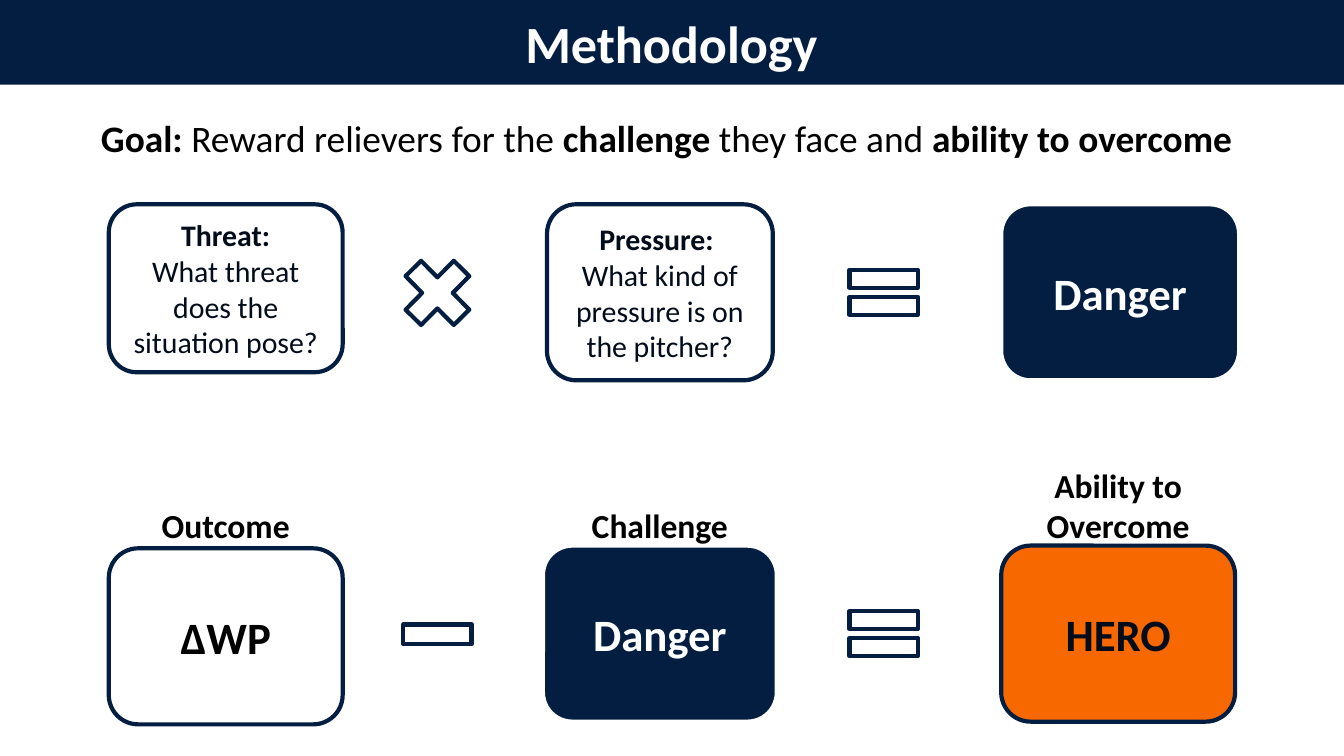
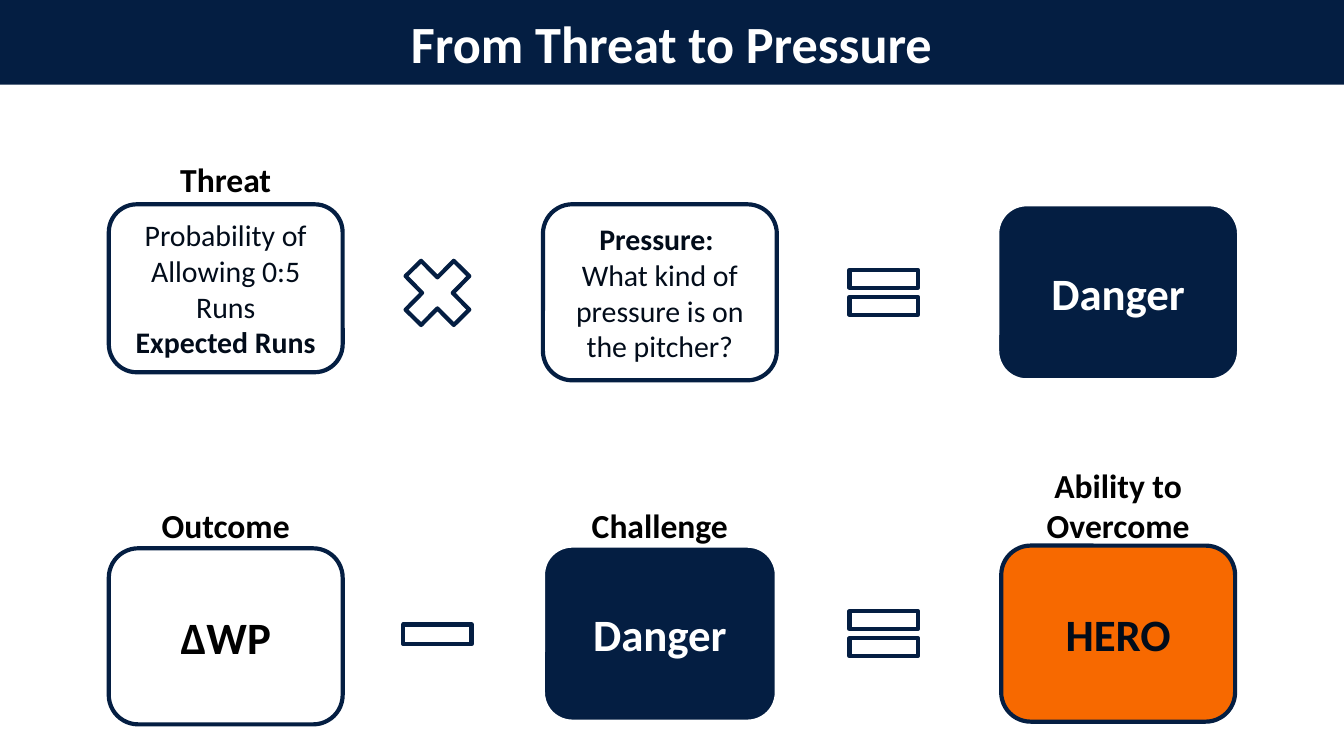
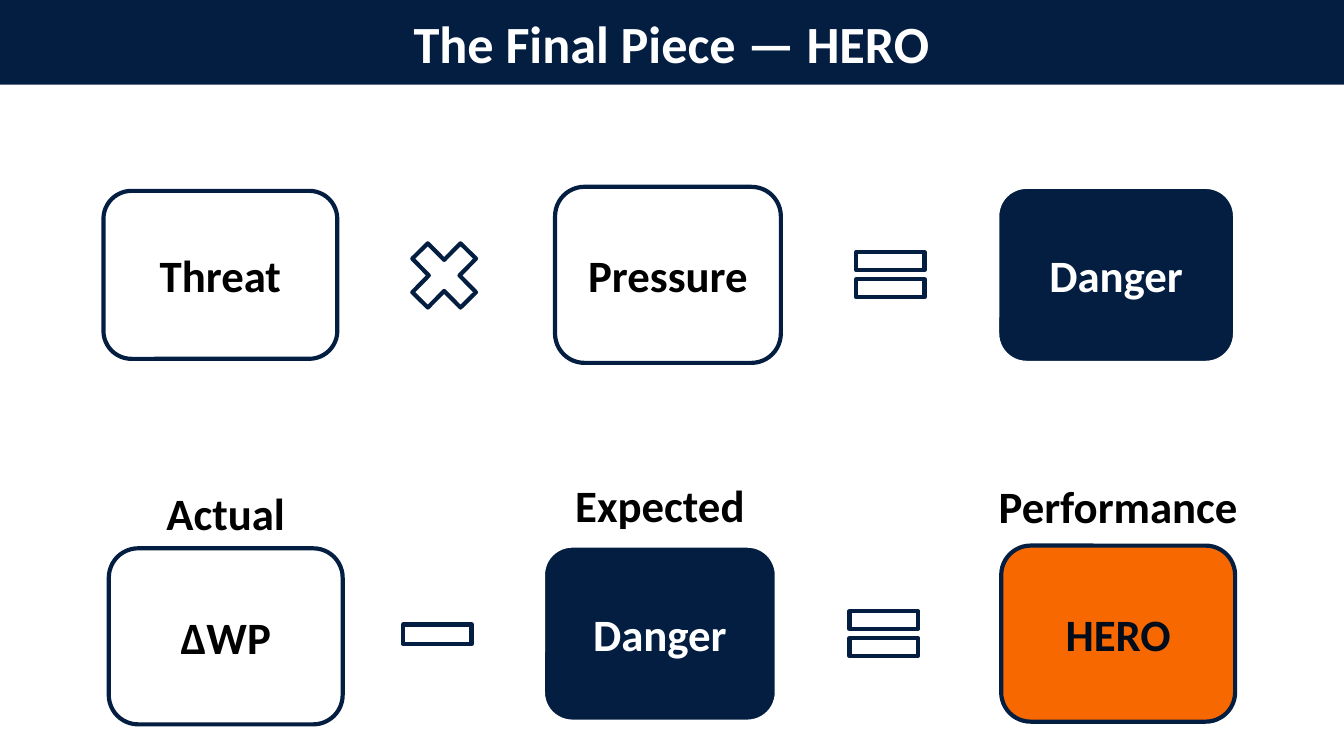
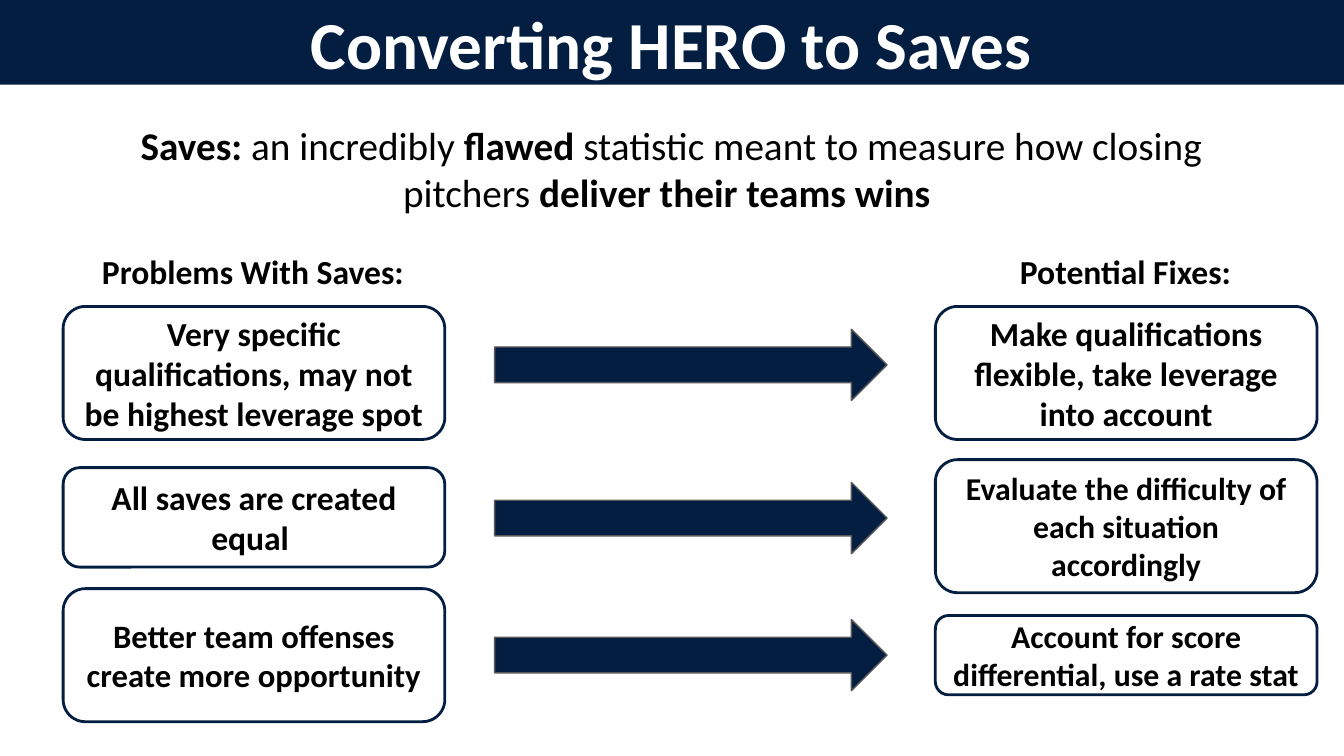
from dataclasses import dataclass

from pptx import Presentation, util as u
from pptx.dml.color import RGBColor
from pptx.enum import shapes, text

SHAPE = shapes.MSO_SHAPE
PAGE_WIDTH = 10
PAGE_HEIGHT = PAGE_WIDTH * 9 / 16


@dataclass(frozen=True)
class Theme:
    font: str = "Calibri"
    navy: str = "041E42"
    ink: str = "020C1A"
    black: str = "000000"
    white: str = "FFFFFF"
    orange: str = "F76900"
    grey: str = "595959"
    title: float = 28
    big_title: float = 36
    term: float = 24
    saves: float = 21
    goal: float = 20
    caption: float = 18
    detail: float = 16
    thick: float = 2.25
    medium: float = 1.5
    thin: float = 0.75


THEME = Theme()

# Card looks: fill, line, text colour, text size
STYLES = {
    "detail": (THEME.white, THEME.navy, THEME.ink, THEME.detail),
    "term": (THEME.white, THEME.navy, THEME.black, THEME.term),
    "danger": (THEME.navy, THEME.white, THEME.white, THEME.term),
    "hero": (THEME.orange, THEME.navy, THEME.ink, THEME.term),
}

# Content: asterisks enclose bold words, a line break starts a paragraph.
# Places are left, top, width, height in inches.
PRESSURE = "*Pressure: *\nWhat kind of pressure is on the pitcher?"
TOP_OPERATORS = [(SHAPE.MATH_MULTIPLY, (2.91, 1.83, 0.69, 0.7)),
                 (SHAPE.MATH_EQUAL, (6.23, 1.89, 0.69, 0.57))]
LOWER_OPERATORS = [(SHAPE.MATH_MINUS, (2.91, 4.41, 0.69, 0.62)),
                   (SHAPE.MATH_EQUAL, (6.23, 4.43, 0.69, 0.57))]
LOWER_CARDS = [("term", (0.81, 4.08, 1.74, 1.31), "*ΔWP*"),
               ("danger", (4.04, 4.06, 1.74, 1.31), "*Danger*"),
               ("hero", (7.45, 4.06, 1.74, 1.31), "*HERO*")]
LOWER_CAPTIONS = [((0.81, 3.72, 1.74, 0.37), "*Outcome*"),
                  ((4.04, 3.72, 1.74, 0.37), "*Challenge*"),
                  ((7.45, 3.45, 1.74, 0.62), "*Ability to Overcome*")]

EQUATION_PAGES = [
    {
        "title": "Methodology",
        "goal": "*Goal:* Reward relievers for the *challenge *they face and *ability to overcome*",
        "cards": [
            ("detail", (0.81, 1.52, 1.74, 1.25),
             "*Threat:*\nWhat threat does the situation pose?"),
            ("detail", (4.07, 1.52, 1.68, 1.31), PRESSURE),
            ("danger", (7.45, 1.52, 1.77, 1.31), "*Danger*"),
        ],
        "captions": LOWER_CAPTIONS,
    },
    {
        "title": "From Threat to Pressure",
        "cards": [
            ("detail", (0.81, 1.52, 1.74, 1.25),
             "Probability of Allowing 0:5 Runs\n*Expected Runs*"),
            ("detail", (4.04, 1.52, 1.74, 1.31), PRESSURE),
            ("danger", (7.42, 1.52, 1.8, 1.31), "*Danger*"),
        ],
        "captions": LOWER_CAPTIONS + [((0.81, 1.15, 1.74, 0.37), "*Threat*")],
    },
    {
        "title": "The Final Piece — HERO",
        "cards": [
            ("term", (0.77, 1.42, 1.74, 1.25), "*Threat*"),
            ("term", (4.13, 1.39, 1.68, 1.31), "*Pressure*"),
            ("danger", (7.42, 1.39, 1.77, 1.31), "*Danger*"),
        ],
        "operator_shift": (0.05, -0.13),
        "captions": [((0.81, 3.63, 1.74, 0.37), "*Actual*"),
                     ((4.04, 3.53, 1.74, 0.45), "*Expected*"),
                     ((7.27, 3.45, 2.1, 0.62), "*Performance*")],
        "caption_size": THEME.term,
    },
]

SAVES_TITLE = "Converting HERO to Saves"
SAVES_INTRO = ("*Saves: *an incredibly *flawed *statistic meant to measure how closing "
               "pitchers *deliver their teams wins *")
SAVES_HEADINGS = [((0.66, 1.77, 2.45, 0.5), "*Problems With Saves:*"),
                  ((7.49, 1.77, 1.79, 0.5), "*Potential Fixes:*")]
# Each row: arrow top, then problem and fix as top, height, text size, words
SAVES_ROWS = [
    (2.45,
     (2.28, 0.99, 18, "*Very specific qualifications, may not be highest leverage spot *"),
     (2.28, 0.99, 18, "*Make qualifications flexible, take leverage into account*")),
    (3.59,
     (3.48, 0.74, 18, "*All saves are created equal *"),
     (3.42, 0.99, 17, "*Evaluate the difficulty of each situation accordingly*")),
    (4.61,
     (4.38, 0.99, 17.5, "*Better team offenses create more opportunity*"),
     (4.58, 0.59, 17, "*Account for score differential, use a rate stat*")),
]
COLUMN_LEFTS, COLUMN_WIDTH = (0.47, 6.96), 2.84
ARROW_LEFT, ARROW_WIDTH, ARROW_HEIGHT = 3.68, 2.92, 0.53


# Building blocks
def inches(place):
    return [u.Inches(value) for value in place]


def write(box, words, size, color, align=text.PP_ALIGN.CENTER,
          anchor=text.MSO_ANCHOR.MIDDLE):
    frame = box.text_frame
    frame.word_wrap = True
    frame.auto_size = text.MSO_AUTO_SIZE.NONE
    frame.vertical_anchor = anchor
    frame.margin_left = frame.margin_right = u.Inches(0.1)
    frame.margin_top = frame.margin_bottom = u.Inches(0.1)
    for number, line in enumerate(words.split("\n")):
        para = frame.add_paragraph() if number else frame.paragraphs[0]
        para.alignment = align
        for part, piece in enumerate(line.split("*")):
            if piece:
                span = para.add_run()
                span.text = piece
                span.font.name = THEME.font
                span.font.size = u.Pt(size)
                span.font.bold = part % 2 == 1
                span.font.color.rgb = RGBColor.from_string(color)


def add_shape(page, kind, place, fill=None, line=None, weight=THEME.thick):
    shape = page.shapes.add_shape(kind, *inches(place))
    shape.shadow.inherit = False
    if fill:
        shape.fill.solid()
        shape.fill.fore_color.rgb = RGBColor.from_string(fill)
    else:
        shape.fill.background()
    if line:
        shape.line.color.rgb = RGBColor.from_string(line)
        shape.line.width = u.Pt(weight)
    else:
        shape.line.fill.background()
    return shape


def add_text(page, place, words, size, **layout):
    write(page.shapes.add_textbox(*inches(place)), words, size, THEME.black, **layout)


def add_card(page, style, place, words):
    fill, line, color, size = STYLES[style]
    write(add_shape(page, SHAPE.ROUNDED_RECTANGLE, place, fill, line), words, size, color)


def add_operators(page, operators, shift=(0, 0)):
    for kind, (left, top, width, height) in operators:
        place = (left + shift[0], top + shift[1], width, height)
        add_shape(page, kind, place, THEME.white, THEME.navy)


def add_page(deck, title, size=THEME.title, place=(0.72, 0, 8.55, 0.63)):
    page = deck.slides.add_slide(deck.slide_layouts[5])
    add_shape(page, SHAPE.RECTANGLE, (0, 0, PAGE_WIDTH, 0.63), THEME.navy)
    box = page.shapes.title
    box.left, box.top, box.width, box.height = inches(place)
    write(box, f"*{title}*", size, THEME.white)
    box.element.getparent().append(box.element)  # bring the title above its band
    return page


# Pages
def add_equation_page(deck, content):
    page = add_page(deck, content["title"])
    if "goal" in content:
        add_text(page, (0.54, 0.76, 8.84, 0.53), content["goal"], THEME.goal)
    for card in content["cards"] + LOWER_CARDS:
        add_card(page, *card)
    add_operators(page, TOP_OPERATORS, content.get("operator_shift", (0, 0)))
    add_operators(page, LOWER_OPERATORS)
    for place, words in content["captions"]:
        add_text(page, place, words, content.get("caption_size", THEME.caption))


def add_saves_page(deck):
    page = add_page(deck, SAVES_TITLE, THEME.big_title, (0.72, -0.05, 8.55, 0.74))
    top = text.MSO_ANCHOR.TOP
    add_text(page, (0.72, 0.8, 8.55, 0.91), SAVES_INTRO, THEME.saves, anchor=top)
    for place, words in SAVES_HEADINGS:
        add_text(page, place, words, THEME.caption, align=text.PP_ALIGN.LEFT, anchor=top)
    for arrow_top, *cards in SAVES_ROWS:
        add_shape(page, SHAPE.RIGHT_ARROW, (ARROW_LEFT, arrow_top, ARROW_WIDTH, ARROW_HEIGHT),
                  THEME.navy, THEME.grey, THEME.thin)
        for left, (card_top, height, size, words) in zip(COLUMN_LEFTS, cards):
            card = add_shape(page, SHAPE.ROUNDED_RECTANGLE,
                             (left, card_top, COLUMN_WIDTH, height),
                             line=THEME.navy, weight=THEME.medium)
            write(card, words, size, THEME.black)


def main():
    deck = Presentation()
    deck.slide_width, deck.slide_height = inches((PAGE_WIDTH, PAGE_HEIGHT))
    for content in EQUATION_PAGES:
        add_equation_page(deck, content)
    add_saves_page(deck)
    deck.save("out.pptx")


if __name__ == "__main__":
    main()
